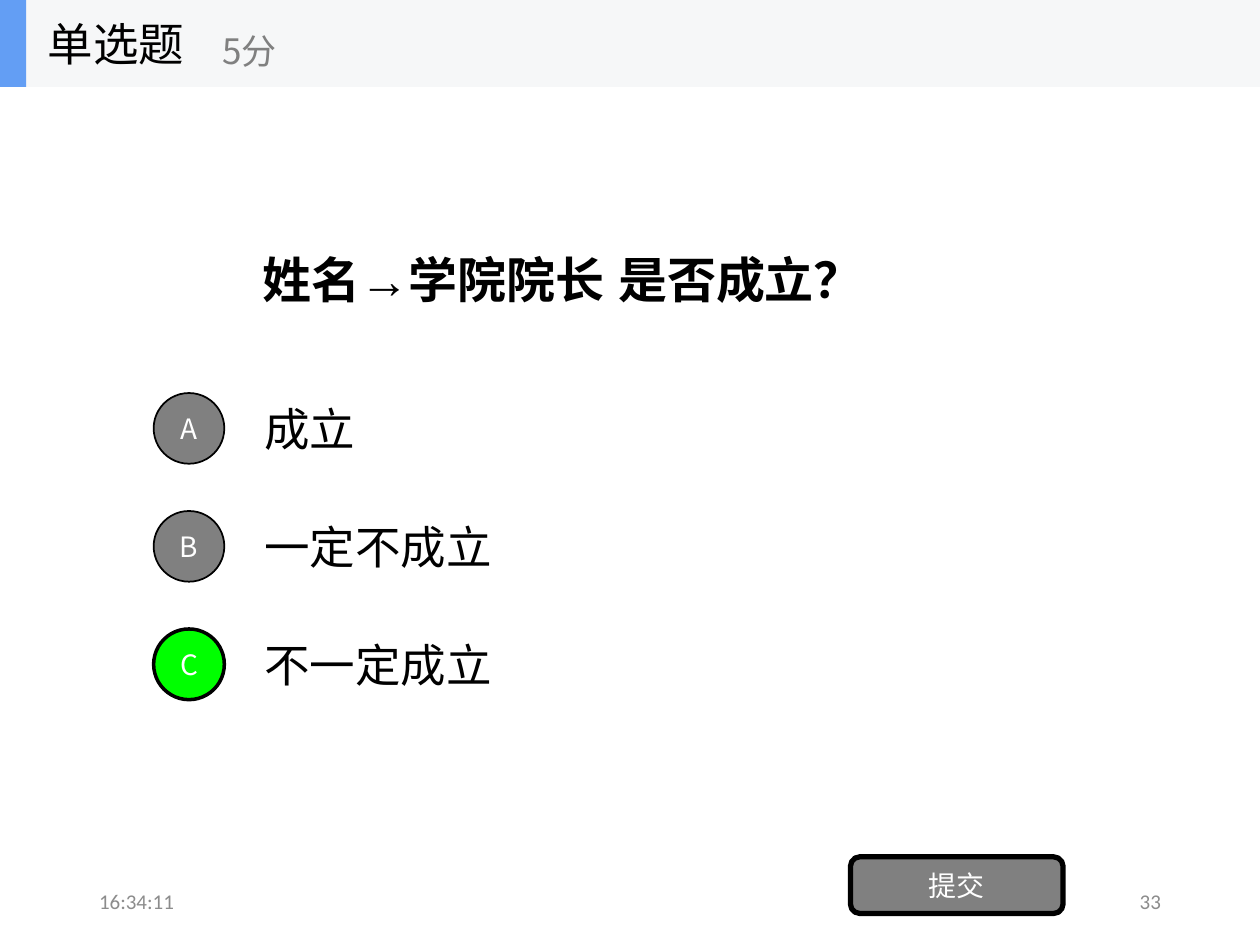
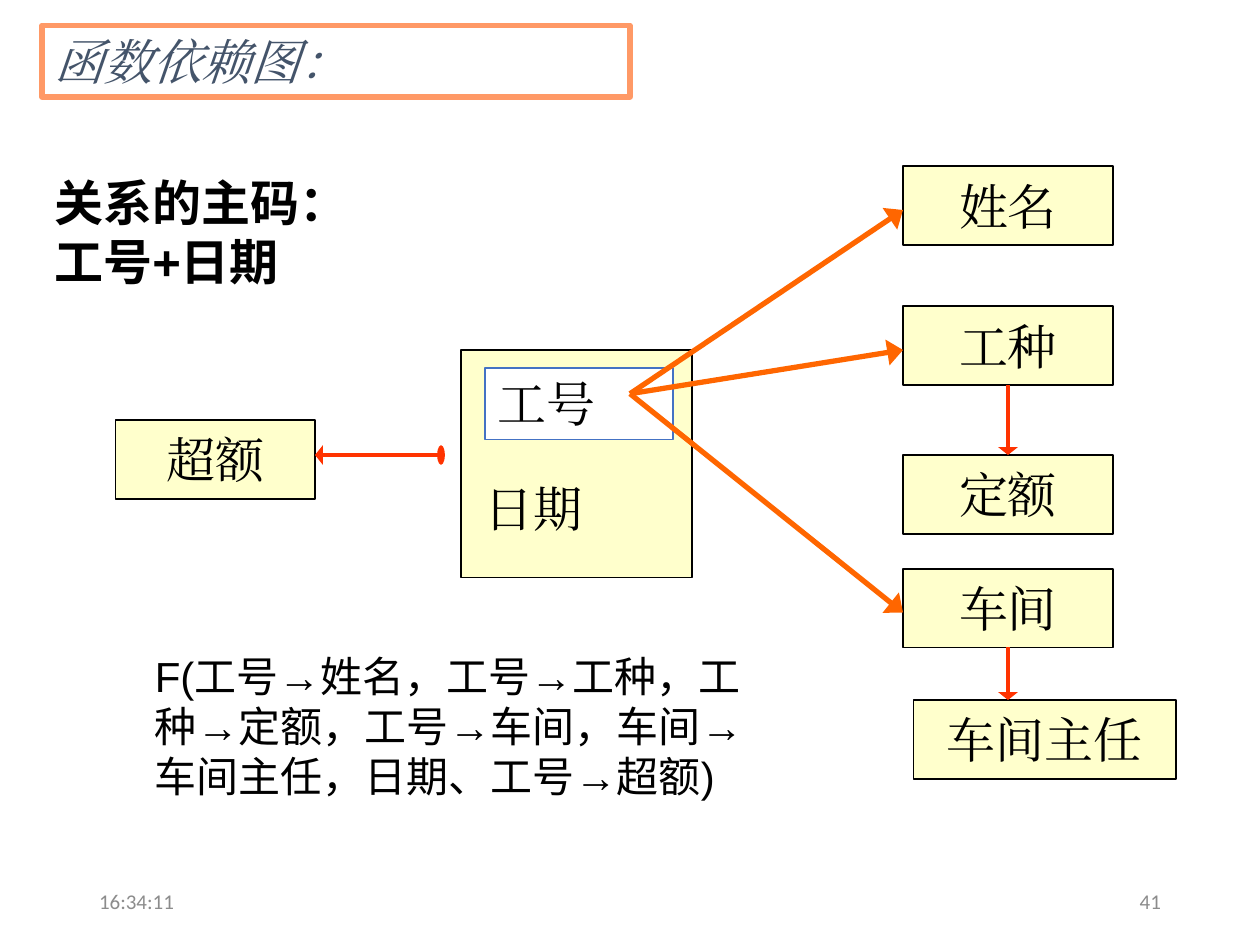
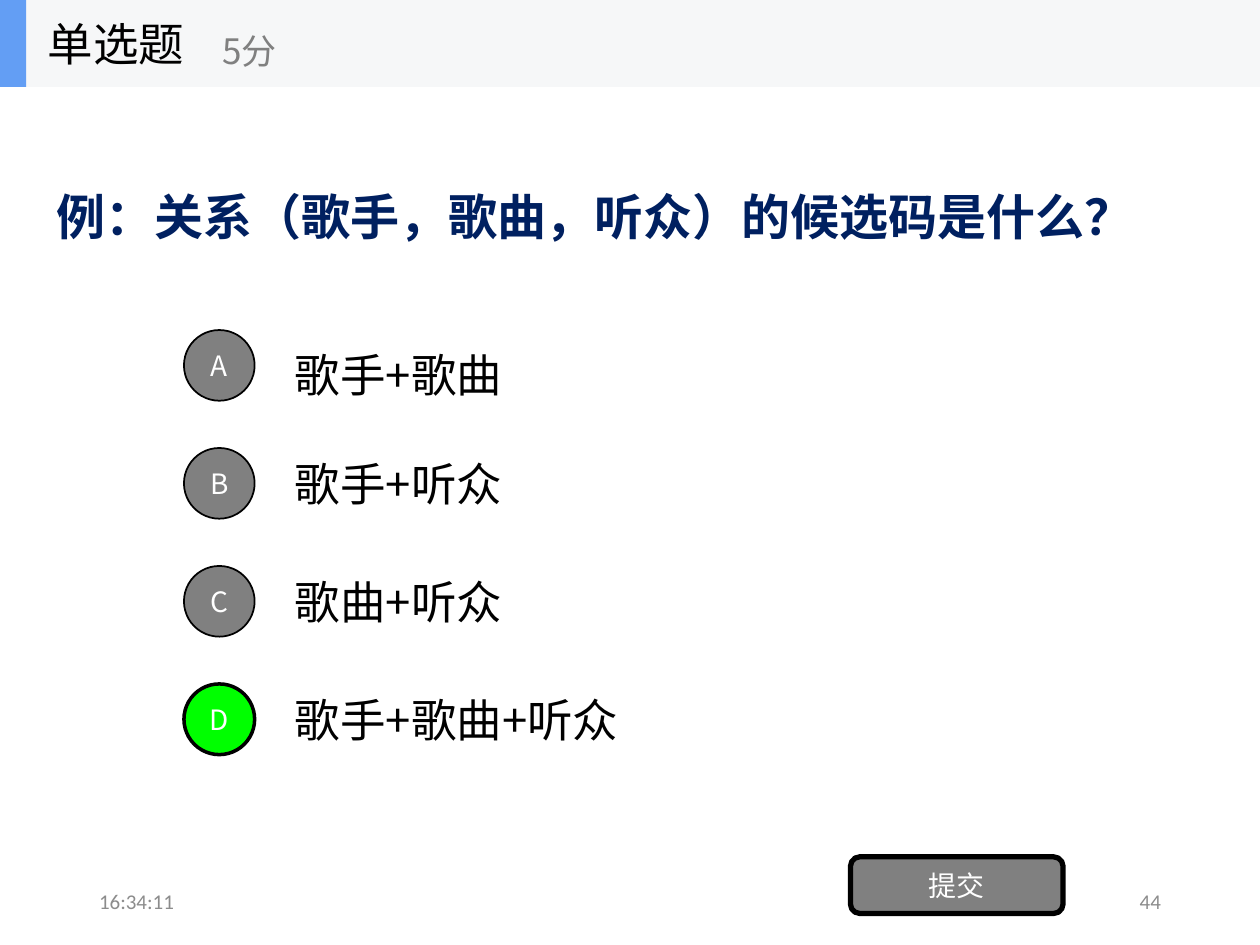
from lxml.etree import SubElement
from pptx import Presentation
from pptx.dml.color import RGBColor
from pptx.enum.shapes import MSO_CONNECTOR, MSO_SHAPE
from pptx.enum.text import MSO_ANCHOR, MSO_AUTO_SIZE, PP_ALIGN
from pptx.oxml.ns import qn
from pptx.util import Pt

# Shared colours and fonts
BLACK, WHITE, GREY, FOOTER_GREY = "000000", "FFFFFF", "808080", "8C8C8C"
BAND, ACCENT, CORRECT, NAVY = "F6F7F8", "639EF4", "00FF00", "002060"
CREAM, KEY_BLUE, SLATE, PEACH = "FFFFCC", "4472C4", "44546A", "FF9966"
ORANGE, RED = "FF6600", "FF3300"
SANS, SERIF, ARIAL, CALIBRI = "Noto Sans CJK SC", "Times New Roman", "Arial", "Calibri"

LEFT, CENTER, RIGHT = PP_ALIGN.LEFT, PP_ALIGN.CENTER, PP_ALIGN.RIGHT
TOP, MIDDLE = MSO_ANCHOR.TOP, MSO_ANCHOR.MIDDLE

# Quiz and diagram measures in points
OPTION_STEP, CIRCLE, LABEL_RISE = 67.4, 40.4, 5
BOX_H, RIGHT_X, RIGHT_W = 45, 516, 120


def rgb(color):
    return RGBColor.from_string(color)


def put_text(sp, text, size=28, font=SANS, color=BLACK, bold=False, italic=False,
             align=LEFT, anchor=TOP, wrap=True):
    tf = sp.text_frame
    tf.auto_size = MSO_AUTO_SIZE.NONE
    tf.word_wrap = wrap
    tf.vertical_anchor = anchor
    for i, line in enumerate(text.split("\n")):
        p = tf.add_paragraph() if i else tf.paragraphs[0]
        p.alignment = align
        r = p.add_run()
        r.text = line
        r.font.size, r.font.name = Pt(size), font
        r.font.bold, r.font.italic = bold, italic
        r.font.color.rgb = rgb(color)
        SubElement(r.font._element, qn("a:ea"), typeface=font)


def paint(sp, fill, line=None, width=1):
    sp.fill.solid()
    sp.fill.fore_color.rgb = rgb(fill)
    if line:
        sp.line.color.rgb = rgb(line)
        sp.line.width = Pt(width)
    else:
        sp.line.fill.background()


def add_text(s, box, text, **fmt):
    put_text(s.shapes.add_textbox(*map(Pt, box)), text, **fmt)


def add_box(s, box, fill, line=None, width=1, kind=MSO_SHAPE.RECTANGLE, text=None, **fmt):
    sp = s.shapes.add_shape(kind, *map(Pt, box))
    sp.shadow.inherit = False
    paint(sp, fill, line, width)
    if text:
        put_text(sp, text, **fmt)
    return sp


def add_arrow(s, start, end, color, width, length, head=None):
    c = s.shapes.add_connector(MSO_CONNECTOR.STRAIGHT, *map(Pt, start + end))
    c.line.color.rgb = rgb(color)
    c.line.width = Pt(width)
    ln = c.line._get_or_add_ln()
    if head:
        SubElement(ln, qn("a:headEnd"), type=head, w="lg", len=length)
    SubElement(ln, qn("a:tailEnd"), type="triangle", w="lg", len=length)
    SubElement(c._element.spPr, qn("a:effectLst"))


def set_title(s, box, text, **fmt):
    sp = s.shapes.title
    sp.left, sp.top, sp.width, sp.height = map(Pt, box)
    put_text(sp, text, **fmt)
    return sp


def new_slide(prs, number):
    s = prs.slides.add_slide(prs.slide_layouts[5])
    fmt = dict(size=12, font=CALIBRI, color=FOOTER_GREY, anchor=MIDDLE)
    add_text(s, (49.5, 500.5, 162, 28.75), "16:34:11", **fmt)
    add_text(s, (508.5, 500.5, 162, 28.75), str(number), align=RIGHT, **fmt)
    return s


def quiz_slide(prs, number, question, box, color, left, top, options, first_drop=0):
    s = new_slide(prs, number)
    set_title(s, box, question, font=ARIAL, color=color, bold=True)

    # Header band
    add_box(s, (0, 0, 720, 49.7), BAND)
    add_box(s, (0, 0, 15, 49.7), ACCENT)
    add_text(s, (20.2, 0, 150, 49.7), "单选题", size=26, anchor=MIDDLE)
    add_text(s, (120, 8.6, 180, 40.3), "5分", size=20, color=GREY, anchor=MIDDLE)

    # Options, the last one being correct
    for i, option in enumerate(options):
        y = top + i * OPTION_STEP
        label_y = y - LABEL_RISE + (0 if i else first_drop)
        correct = i == len(options) - 1
        add_text(s, (left + 56.2, label_y, 504, 50.4), option, size=26, anchor=MIDDLE)
        sp = add_box(s, (left, y, CIRCLE, CIRCLE), CORRECT if correct else GREY, BLACK,
                     2 if correct else 1, MSO_SHAPE.OVAL, "ABCD"[i], size=16,
                     color=WHITE, align=CENTER, anchor=MIDDLE, wrap=False)

    # Submit button
    add_box(s, (486, 489.6, 121.5, 32.4), GREY, BLACK, 3, MSO_SHAPE.ROUNDED_RECTANGLE,
            "提交", size=16, color=WHITE, align=CENTER, anchor=MIDDLE)


def dependency_slide(prs, number):
    s = new_slide(prs, number)
    sp = set_title(s, (24, 14.4, 336, 41), "函数依赖图：", font=SERIF, color=SLATE, italic=True)
    paint(sp, WHITE, PEACH, 3)

    # Primary key
    add_box(s, (263.5, 200, 132, 130), CREAM, BLACK)
    add_box(s, (277.2, 210.2, 107.3, 41), WHITE, KEY_BLUE, text="工号", font=SERIF)
    add_box(s, (270, 270, 113.8, 41), CREAM, text="日期", font=SERIF)

    # Dependent attributes
    attributes = [
        ("姓名", RIGHT_X, 95, RIGHT_W),
        ("工种", RIGHT_X, 175, RIGHT_W),
        ("定额", RIGHT_X, 260, RIGHT_W),
        ("车间", RIGHT_X, 325, RIGHT_W),
        ("车间主任", 522, 400, 150),
        ("超额", 66, 240, 114),
    ]
    for name, x, y, w in attributes:
        add_box(s, (x, y, w, BOX_H), CREAM, BLACK, text=name, font=SERIF,
                align=CENTER, anchor=MIDDLE, wrap=False)

    # Dependencies
    for y in (200, 120, 350):
        add_arrow(s, (360, 225), (RIGHT_X, y), ORANGE, 3, "med")
    for y1, y2 in ((370, 400), (220, 260)):
        add_arrow(s, (576, y1), (576, y2), RED, 2.25, "sm")
    add_arrow(s, (252, 260), (180, 260), RED, 2.25, "sm", head="oval")

    # Notes on the relation
    add_text(s, (81.4, 368, 360, 94.5),
             "F(工号→姓名，工号→工种，工种→定额，工号→车间，车间→车间主任，日期、工号→超额)",
             size=24, font=ARIAL)
    add_text(s, (24, 95, 240, 75), "关系的主码：\n工号+日期", font=ARIAL, bold=True)


def main():
    prs = Presentation()
    prs.slide_width, prs.slide_height = Pt(720), Pt(540)
    quiz_slide(prs, 33, "姓名→学院院长 是否成立？", (142.6, 139, 380, 41), BLACK,
               87.8, 224.6, ["成立", "一定不成立", "不一定成立"])
    dependency_slide(prs, 41)
    quiz_slide(prs, 44, "例：关系（歌手，歌曲，听众）的候选码是什么？", (25.2, 103, 657.4, 41),
               NAVY, 105.1, 188.6,
               ["歌手+歌曲", "歌手+听众", "歌曲+听众", "歌手+歌曲+听众"], first_drop=LABEL_RISE)
    prs.save("out.pptx")


if __name__ == "__main__":
    main()
